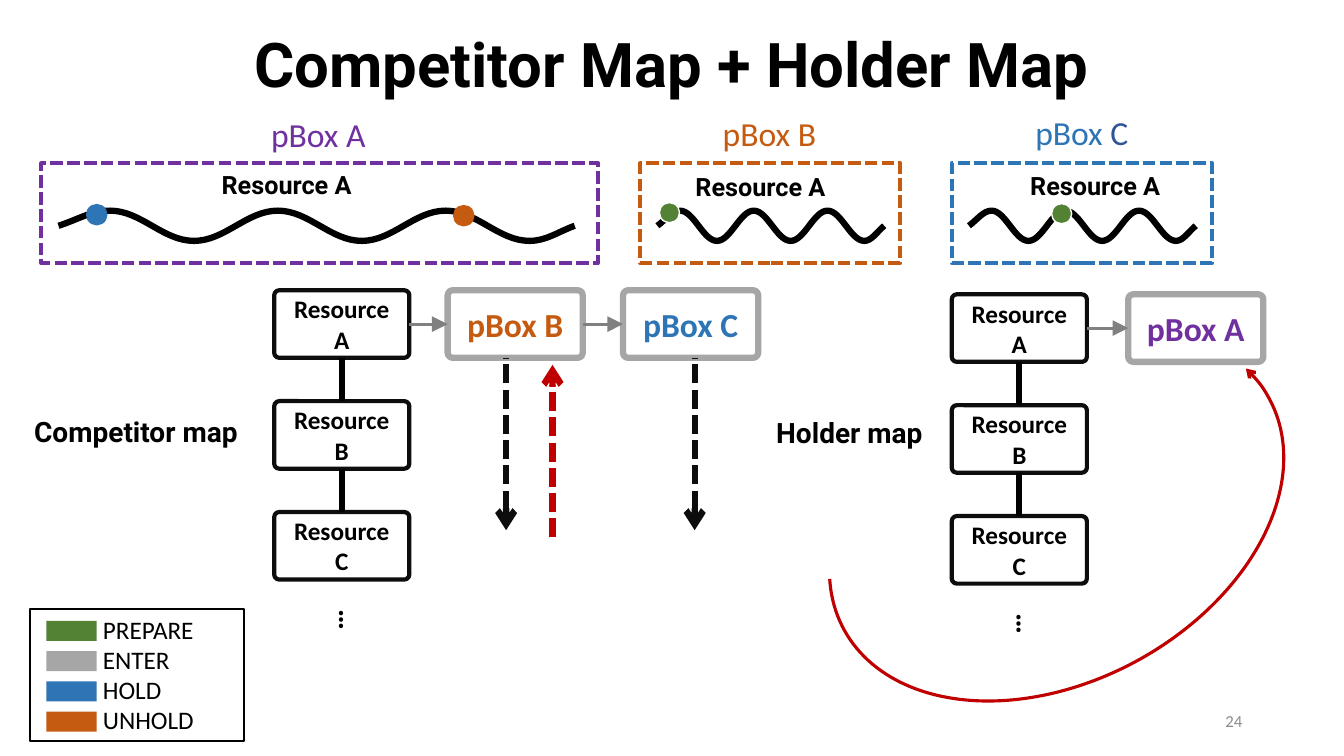
import pptx
import pptx.dml.color
import pptx.enum.dml
import pptx.enum.shapes
import pptx.enum.text
import pptx.oxml
import pptx.oxml.ns
import pptx.util
from pptx.util import Inches

SHAPES = pptx.enum.shapes.MSO_SHAPE
ALIGN = pptx.enum.text.PP_ALIGN
ANCHOR = pptx.enum.text.MSO_ANCHOR
DRAWING = pptx.oxml.ns.nsdecls("a")
COLORS = {
    "black": "000000", "ink": "0D0D0D", "white": "FFFFFF", "gray": "A6A6A6",
    "link": "808080", "number": "8C8C8C", "purple": "7030A0", "orange": "C55A11",
    "blue": "2E75B6", "navy": "2F5597", "green": "548235", "red": "C00000",
}
NODE_WIDTH, NODE_HEIGHT, NODE_STEP = 1.34, 0.67, 1.1


def rgb(name):
    return pptx.dml.color.RGBColor.from_string(COLORS[name])


def set_line(item, color, width, dashed=False, head=None, tail=None, size="med"):
    item.line.color.rgb = rgb(color)
    item.line.width = pptx.util.Pt(width)
    if dashed:
        item.line.dash_style = pptx.enum.dml.MSO_LINE.SQUARE_DOT
    outline = item._element.spPr.find(pptx.oxml.ns.qn("a:ln"))
    for tag, kind in (("headEnd", head), ("tailEnd", tail)):
        if kind:
            outline.append(pptx.oxml.parse_xml(
                f'<a:{tag} {DRAWING} type="{kind}" w="{size}" len="{size}"/>'))


def add_shape(page, kind, box, fill=None, line=None, width=1, **line_options):
    shape = page.shapes.add_shape(kind, *map(Inches, box))
    shape.shadow.inherit = False
    if fill:
        shape.fill.solid()
        shape.fill.fore_color.rgb = rgb(fill)
    else:
        shape.fill.background()
    if line:
        set_line(shape, line, width, **line_options)
    else:
        shape.line.fill.background()
    return shape


def add_line(page, start, end, color, width, **line_options):
    line = page.shapes.add_connector(
        pptx.enum.shapes.MSO_CONNECTOR.STRAIGHT, *map(Inches, start + end))
    set_line(line, color, width, **line_options)
    line._element.spPr.append(pptx.oxml.parse_xml(f"<a:effectLst {DRAWING}/>"))
    return line


def add_link(page, first, first_side, second, second_side, color, width, **line_options):
    line = add_line(page, (0, 0), (1, 1), color, width, **line_options)
    line.begin_connect(first, first_side)
    line.end_connect(second, second_side)


def set_font(para, size, color, font="Calibri", bold=False, align=ALIGN.LEFT):
    para.alignment = align
    para.font.size = pptx.util.Pt(size)
    para.font.name = font
    para.font.bold = bold
    para.font.color.rgb = rgb(color)


def add_text(page, box, text, size, color, wrap=True, grow=True, **font_options):
    label = page.shapes.add_textbox(*map(Inches, box))
    frame = label.text_frame
    frame.word_wrap = wrap
    if grow:
        frame.auto_size = pptx.enum.text.MSO_AUTO_SIZE.SHAPE_TO_FIT_TEXT
    else:
        frame.vertical_anchor = ANCHOR.MIDDLE
    frame.text = text
    set_font(frame.paragraphs[0], size, color, **font_options)
    return label


def add_heading(page, box, text, size):
    return add_text(page, box, text, size, "black", wrap=False, font="Roboto", bold=True)


def add_node(page, left, top, text, size, color, line, width):
    node = add_shape(page, SHAPES.ROUNDED_RECTANGLE,
                     (left, top, NODE_WIDTH, NODE_HEIGHT), line=line, width=width)
    node.adjustments[0] = 0.075
    node.text_frame.word_wrap = True
    node.text_frame.vertical_anchor = ANCHOR.MIDDLE
    node.text_frame.text = text
    set_font(node.text_frame.paragraphs[0], size, color, bold=True, align=ALIGN.CENTER)
    return node


def add_wave(page, left, middle, width):
    # Six crests and troughs at equal steps between the two ends
    turns = [(0.1 + 0.1625 * k, 0.15 if k % 2 else -0.15) for k in range(6)]
    points = [(Inches(left + width * share), Inches(middle + rise))
              for share, rise in [(0, 0)] + turns + [(1, 0)]]
    builder = page.shapes.build_freeform(*points[0])
    builder.add_line_segments(points[1:], close=False)
    wave = builder.convert_to_shape()
    wave.shadow.inherit = False
    wave.fill.background()
    set_line(wave, "black", 4.5)

    # Bend each segment so that it is level at the crests and troughs
    spots = [(int(spot.get("x")), int(spot.get("y")))
             for spot in wave._element.iter(pptx.oxml.ns.qn("a:pt"))]
    segments = list(wave._element.iter(pptx.oxml.ns.qn("a:lnTo")))
    for index, segment in enumerate(segments):
        (x0, y0), (x1, y1) = spots[index:index + 2]
        reach = 0.37 * (x1 - x0)
        lift_start = 0.4 * (y1 - y0) if index == 0 else 0
        lift_end = 0.4 * (y1 - y0) if index == len(segments) - 1 else 0
        bend = [(x0 + reach, y0 + lift_start), (x1 - reach, y1 - lift_end), (x1, y1)]
        marks = "".join(f'<a:pt x="{round(x)}" y="{round(y)}"/>' for x, y in bend)
        segment.getparent().replace(segment, pptx.oxml.parse_xml(
            f"<a:cubicBezTo {DRAWING}>{marks}</a:cubicBezTo>"))


def add_timeline(page, box, wave_width, color, name, name_at, resource_at, dots):
    """Dashed pBox panel; offsets are relative to its left top corner."""
    left, top, width, height = box
    add_wave(page, left + 0.17, top + 0.62, wave_width)
    for across, down, fill, line in dots:
        add_shape(page, SHAPES.OVAL, (left + across, top + down, 0.2, 0.2), fill, line)
    label = add_text(page, (left + name_at[0], top + name_at[1], 1.4, 0.5),
                     name, 24, color)
    add_shape(page, SHAPES.RECTANGLE, box, line=color, width=3, dashed=True)
    add_heading(page, (left + resource_at[0], top + resource_at[1], 1.6, 0.4),
                "Resource A", 18)
    return label


def add_map(page, left, top, title, title_box, entries):
    """Column of resources, with the pBoxes chained to the first one."""
    add_heading(page, title_box, title, 20)
    nodes = [add_node(page, left, top + row * NODE_STEP, f"Resource {letter}",
                      18, "black", "ink", 3) for row, letter in enumerate("ABC")]
    for upper, lower in zip(nodes, nodes[1:]):
        add_link(page, upper, 2, lower, 0, "black", 4.5)
    dots = add_heading(page, (left + 0.51, top + 3.09, 0.48, 0.44), "…", 20)
    dots.rotation = 90
    previous = nodes[0]
    for across, name, color in entries:
        entry = add_node(page, left + across, top, name, 24, color, "gray", 4.5)
        add_link(page, previous, 3, entry, 1, "link", 2.25, tail="triangle", size="lg")
        previous = entry


def add_legend(page, box, entries):
    left, top = box[:2]
    frame = add_shape(page, SHAPES.RECTANGLE, box, line="black", width=1.5).text_frame
    frame.margin_left = Inches(0.72)
    frame.vertical_anchor = ANCHOR.TOP
    frame.text = "\n".join(name for name, color in entries)
    for row, (para, (name, color)) in enumerate(zip(frame.paragraphs, entries)):
        set_font(para, 18, "black")
        add_shape(page, SHAPES.RECTANGLE, (left + 0.16, top + 0.12 + row * 0.3, 0.5, 0.2), color)


def add_flow_arrows(page):
    for across in (5.02, 6.89):
        add_line(page, (across, 5.26), (across, 3.55), "ink", 4.5, dashed=True, head="arrow")
    add_line(page, (5.48, 5.33), (5.48, 3.62), "red", 4.5, dashed=True, tail="arrow")
    arc = add_shape(page, SHAPES.ARC, (8.82, 2.7, 3.32, 4.8),
                    line="red", width=2.25, tail="arrow")
    arc.adjustments[0] = 154.48
    arc.adjustments[1] = 59.44
    arc.rotation = 241.5
    arc._element.spPr.xfrm.set("flipH", "1")


def main():
    deck = pptx.Presentation()
    deck.slide_width, deck.slide_height = Inches(13.33), Inches(7.5)
    page = deck.slides.add_slide(deck.slide_layouts[6])
    # Title and page number
    title = add_text(page, (0, 0.02, 13.33, 1.3), "Competitor Map + Holder Map", 44, "black",
                     grow=False, font="Roboto", bold=True, align=ALIGN.CENTER)
    title.text_frame.paragraphs[0].line_spacing = 0.9
    add_text(page, (9.42, 6.95, 3, 0.4), "24", 12, "number", grow=False, align=ALIGN.RIGHT)
    # Timelines
    add_timeline(page, (0.41, 1.62, 5.52, 0.99), 5.12, "purple", "pBox A",
                 (2.18, -0.54), (1.69, 0.01),
                 [(0.45, 0.41, "blue", "blue"), (4.09, 0.42, "orange", "orange")])
    add_timeline(page, (6.35, 1.62, 2.58, 0.99), 2.25, "orange", "pBox B",
                 (0.72, -0.55), (0.45, 0.03), [(0.19, 0.39, "green", "white")])
    label = add_timeline(page, (9.44, 1.62, 2.58, 0.99), 2.25, "blue", "pBox",
                         (0.73, -0.56), (0.68, 0.02), [(0.99, 0.4, "green", "white")])
    span = label.text_frame.paragraphs[0].add_run()
    span.text = " C"
    span.font.color.rgb = rgb("navy")
    # Maps
    add_map(page, 2.72, 2.88, "Competitor map", (0.24, 4.06, 2.35, 0.44),
            [(1.72, "pBox B", "orange"), (3.46, "pBox C", "blue")])
    add_map(page, 9.44, 2.92, "Holder map", (7.6, 4.07, 1.74, 0.44),
            [(1.75, "pBox A", "purple")])
    # Legend and flow
    add_legend(page, (0.3, 6.04, 2.12, 1.31),
               [("PREPARE", "green"), ("ENTER", "gray"), ("HOLD", "blue"), ("UNHOLD", "orange")])
    add_flow_arrows(page)
    deck.save("out.pptx")


if __name__ == "__main__":
    main()
